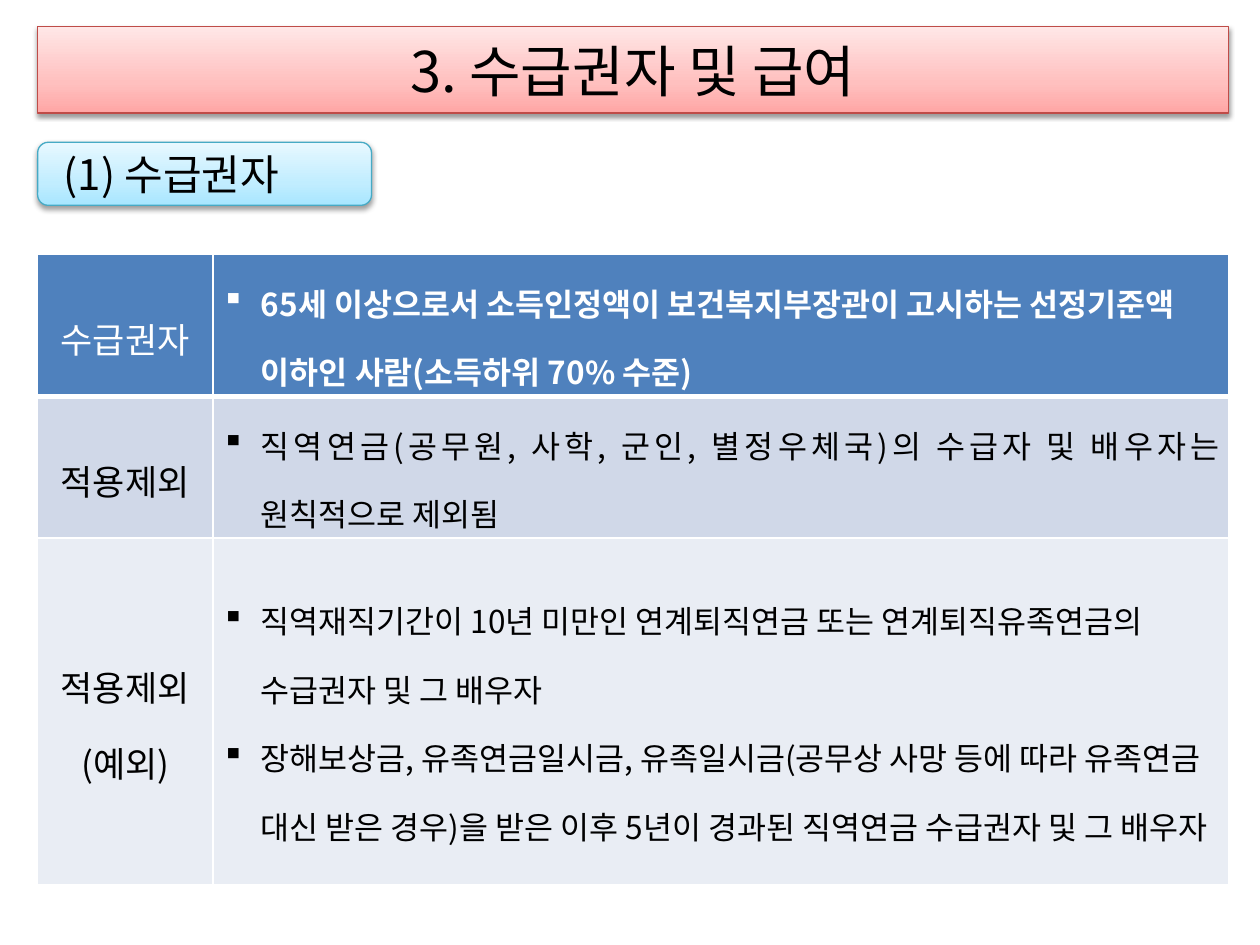
import copy

import lxml.etree
import pptx
import pptx.dml.color
import pptx.enum.shapes
import pptx.enum.text
import pptx.oxml.ns
import pptx.util

Cm, Pt = pptx.util.Cm, pptx.util.Pt
KIND = pptx.enum.shapes.MSO_SHAPE
ALIGN = pptx.enum.text.PP_ALIGN
MIDDLE = pptx.enum.text.MSO_ANCHOR.MIDDLE
qn = pptx.oxml.ns.qn

INK = {
    "black": "000000", "white": "FFFFFF",
    "head": "4F81BD", "band": "D0D8E8", "pale": "E9EDF4",
    "red": "BF4C48", "cyan": "46AAC5",
}
FADE = {
    "red": ("FFA6A5", "FFC0BF", "FFE7E7"),
    "cyan": ("A7E6FF", "C1EDFF", "E7F8FF"),
}
LEFT, WIDTH = Cm(0.76), Cm(24)


def rgb(code):
    """Turn a hex string into a colour."""
    return pptx.dml.color.RGBColor.from_string(code)


def add(parent, tag, **attrs):
    """Append a child element and return it."""
    node = lxml.etree.SubElement(parent, qn(tag))
    for key, val in attrs.items():
        node.set(key, str(val))
    return node


class Deck:
    """Hold the style and the current slide."""

    def __init__(self, font):
        self.font = font
        self.show = pptx.Presentation()
        self.show.slide_width, self.show.slide_height = Cm(25.4), Cm(19.05)
        self.slide = self.show.slides.add_slide(self.show.slide_layouts[6])

    def text(self, para, words, size, color="black", bold=False):
        """Add one styled run."""
        run = para.add_run()
        run.text = words
        font = run.font
        font.name, font.size, font.bold = self.font, Pt(size), bold
        font.color.rgb = rgb(INK[color])
        add(font._element, "a:ea", typeface=self.font)

    def fade(self, shape, hues):
        """Fill a shape with a three-stop upward gradient."""
        shape.fill.gradient()
        shape.fill.gradient_angle = 90
        stops = shape._element.spPr.find(".//" + qn("a:gsLst"))
        stops.append(copy.deepcopy(stops[-1]))
        for stop, hue, pos in zip(shape.fill.gradient_stops, hues, (0, 0.35, 1)):
            stop.color.rgb = rgb(hue)
            stop.position = pos

    def shade(self, shape):
        """Give a shape a soft shadow below it."""
        shape.shadow.inherit = False
        effects = shape._element.spPr.find(qn("a:effectLst"))
        outer = add(effects, "a:outerShdw", blurRad=Pt(3.1), dist=Pt(1.6),
                    dir=5400000, rotWithShape=0)
        hue = add(outer, "a:srgbClr", val=INK["black"])
        add(hue, "a:alpha", val=38000)

    def banner(self, kind, top, width, height, hue, words, size, align, inset):
        """Add a shaded heading shape."""
        shape = self.slide.shapes.add_shape(kind, LEFT, top, width, height)
        self.fade(shape, FADE[hue])
        shape.line.color.rgb = rgb(INK[hue])
        shape.line.width = Pt(0.75)
        self.shade(shape)
        frame = shape.text_frame
        frame.word_wrap = True
        frame.vertical_anchor = MIDDLE
        frame.margin_left = inset
        para = frame.paragraphs[0]
        para.alignment = align
        self.text(para, words, size)

    def edge(self, cell, heavy):
        """Draw white cell borders, thicker next to the header rule."""
        props = cell._tc.get_or_add_tcPr()
        for side in "LRTB":
            line = add(props, "a:ln" + side, w=Pt(3 if side == heavy else 1))
            fill = add(line, "a:solidFill")
            add(fill, "a:srgbClr", val=INK["white"])

    def cell(self, cell, lines, size, fill, color, align, bold, bullet, heavy):
        """Fill one table cell with paragraphs."""
        self.edge(cell, heavy)
        cell.fill.solid()
        cell.fill.fore_color.rgb = rgb(INK[fill])
        cell.vertical_anchor = MIDDLE
        cell.margin_left = cell.margin_right = Cm(0.18)
        cell.margin_top = cell.margin_bottom = Cm(0.05)
        frame = cell.text_frame
        for num, words in enumerate(lines):
            para = frame.add_paragraph() if num else frame.paragraphs[0]
            para.alignment = align
            para.line_spacing = 1.5
            if bullet:
                props = para._p.get_or_add_pPr()
                props.set("marL", str(Cm(0.79)))
                props.set("indent", str(-Cm(0.79)))
                add(props, "a:buChar", char="▪")
            self.text(para, words, size, color, bold)

    def table(self, top, widths, heights, rows):
        """Add a table of labels and bulleted notes."""
        grid = self.slide.shapes.add_table(
            len(rows), len(widths), LEFT, top, sum(widths), sum(heights)).table
        for col, width in zip(grid.columns, widths):
            col.width = width
        for num, (fill, color, align, label, notes) in enumerate(rows):
            grid.rows[num].height = heights[num]
            heavy = {0: "B", 1: "T"}.get(num)
            self.cell(grid.cell(num, 0), label, 20, fill, color,
                      ALIGN.CENTER, False, False, heavy)
            self.cell(grid.cell(num, 1), notes, 18, fill, color,
                      align, num == 0, True, heavy)


def main():
    """Build the slide and save it."""
    deck = Deck("Noto Sans CJK KR")
    deck.banner(KIND.RECTANGLE, Cm(0.53), WIDTH, Cm(1.75), "red",
                "3. 수급권자 및 급여", 32, ALIGN.CENTER, Cm(0.25))
    rows = [
        ("head", "white", ALIGN.LEFT, ["수급권자"],
         ["65세 이상으로서 소득인정액이 보건복지부장관이 고시하는 선정기준액 "
          "이하인 사람(소득하위 70% 수준)"]),
        ("band", "black", ALIGN.JUSTIFY, ["적용제외"],
         ["직역연금(공무원, 사학, 군인, 별정우체국)의 수급자 및 배우자는 "
          "원칙적으로 제외됨"]),
        ("pale", "black", ALIGN.LEFT, ["적용제외", "(예외)"],
         ["직역재직기간이 10년 미만인 연계퇴직연금 또는 연계퇴직유족연금의 "
          "수급권자 및 그 배우자",
          "장해보상금, 유족연금일시금, 유족일시금(공무상 사망 등에 따라 "
          "유족연금 대신 받은 경우)을 받은 이후 5년이 경과된 직역연금 "
          "수급권자 및 그 배우자"]),
    ]
    deck.table(Cm(5.13), [Cm(3.53), WIDTH - Cm(3.53)],
               [Cm(2.8), Cm(2.8), Cm(6.9)], rows)
    deck.banner(KIND.ROUNDED_RECTANGLE, Cm(2.87), Cm(6.73), Cm(1.27), "cyan",
                "(1) 수급권자", 24, ALIGN.LEFT, Cm(0.46))
    deck.show.save("out.pptx")


if __name__ == "__main__":
    main()
